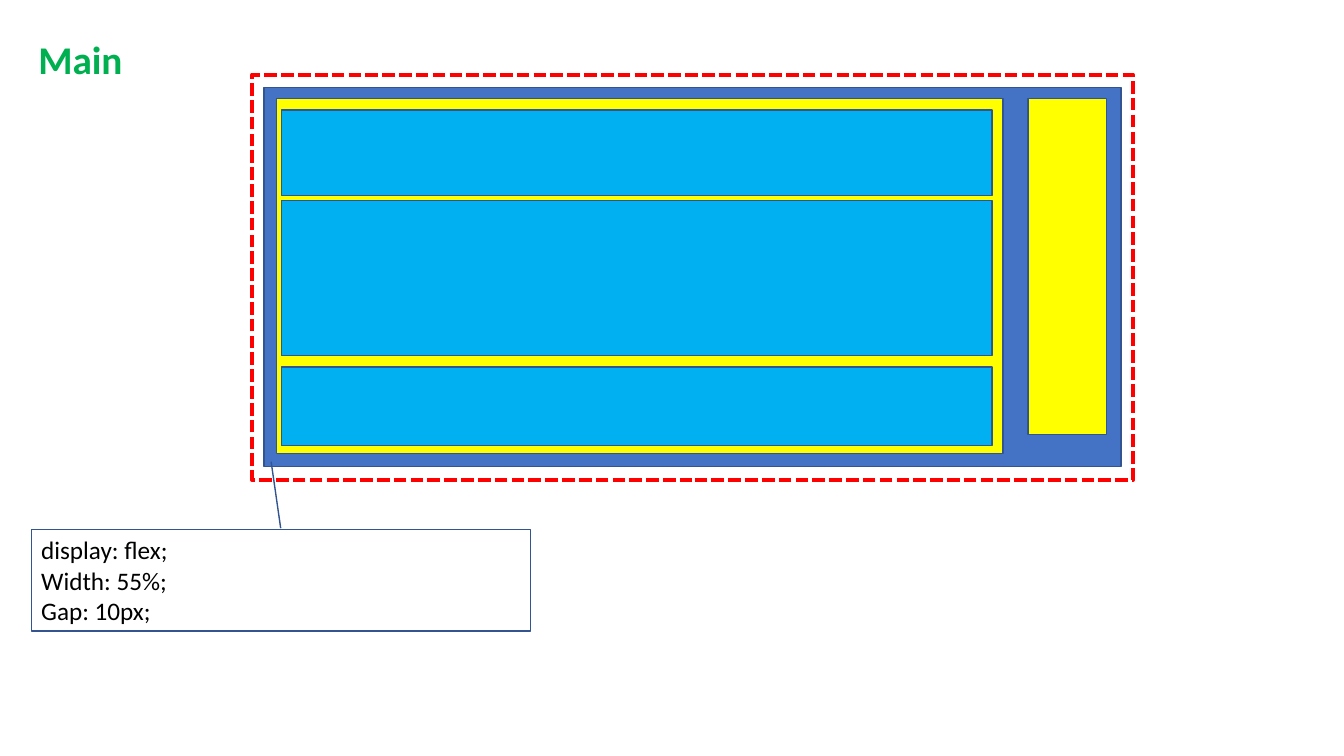
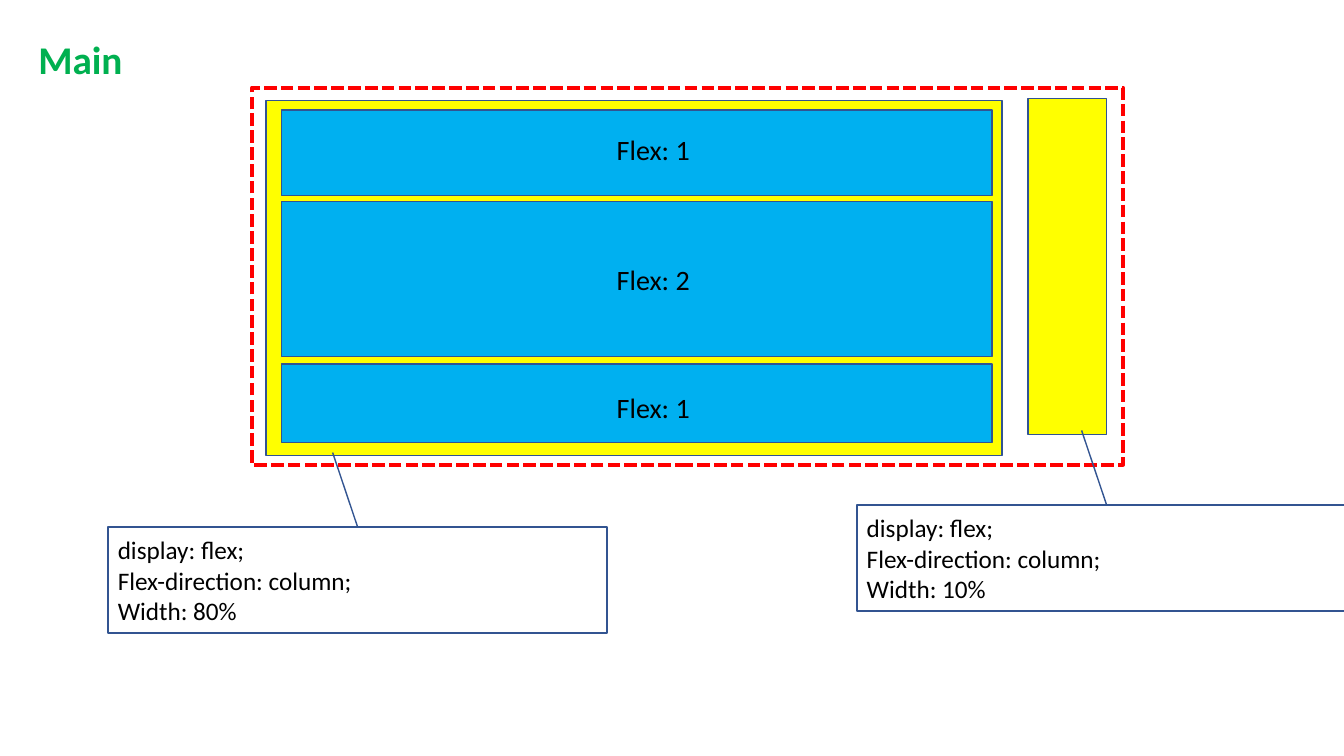
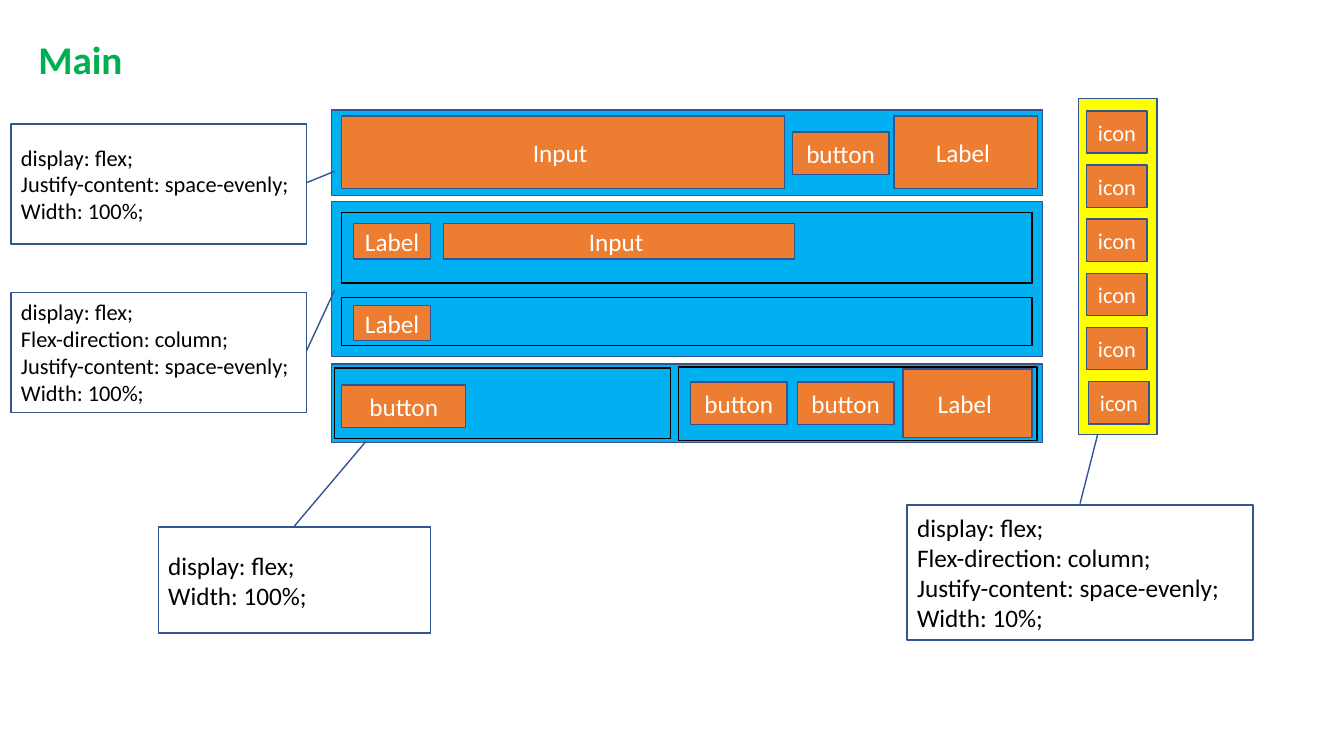
"""Build three slides that sketch the flexbox layout of a page's main area."""
import dataclasses

import pptx
import pptx.dml.color
import pptx.enum.dml
import pptx.enum.shapes
import pptx.enum.text
import pptx.util

SHAPES = pptx.enum.shapes.MSO_SHAPE
ALIGN = pptx.enum.text.PP_ALIGN
MIDDLE = pptx.enum.text.MSO_ANCHOR.MIDDLE
FIT_SHAPE = pptx.enum.text.MSO_AUTO_SIZE.SHAPE_TO_FIT_TEXT
DASHED = pptx.enum.dml.MSO_LINE.SQUARE_DOT


@dataclasses.dataclass(frozen=True)
class Theme:
    """Colours, type sizes and line widths of the deck."""
    font: str = "Calibri"
    heading: str = "00B050"
    ink: str = "000000"
    light: str = "FFFFFF"
    edge: str = "325491"
    viewport: str = "FF0000"
    main: str = "4472C4"
    column: str = "FFFF00"
    row: str = "00B0F0"
    control: str = "ED7D31"
    title_size: int = 28
    flex_size: int = 20
    text_size: int = 18
    small_size: int = 16
    thin: int = 1
    thick: int = 3


class Wireframe:
    """Draws wireframe parts on a grid with ten cells to the inch."""
    COLUMNS, ROWS = 133.33, 75
    ROW_HEIGHTS = (8.5, 15.4, 7.8)

    def __init__(self, theme):
        self.theme = theme
        self.deck = pptx.Presentation()
        self.deck.slide_width, self.deck.slide_height = self.cells(self.COLUMNS, self.ROWS)
        self.slide = None

    def cells(self, *counts):
        return [pptx.util.Inches(count / 10) for count in counts]

    def color(self, value):
        return pptx.dml.color.RGBColor.from_string(value)

    def set_text(self, frame, text, size, color, align=ALIGN.LEFT, bold=False):
        frame.text = text
        for paragraph in frame.paragraphs:
            paragraph.alignment = align
            for run in paragraph.runs:
                run.font.name = self.theme.font
                run.font.size = pptx.util.Pt(size)
                run.font.bold = bold
                run.font.color.rgb = self.color(color)

    def start(self, title):
        self.slide = self.deck.slides.add_slide(self.deck.slide_layouts[5])
        heading = self.slide.shapes.title
        heading.left, heading.top, heading.width, heading.height = self.cells(2.8, 3, 11.4, 5.7)
        frame = heading.text_frame
        self.set_text(frame, title, self.theme.title_size, self.theme.heading, bold=True)
        frame.word_wrap = False
        frame.auto_size = FIT_SHAPE

    def box(self, area, fill=None, edge=None, width=None, kind=SHAPES.RECTANGLE):
        shape = self.slide.shapes.add_shape(kind, *self.cells(*area))
        shape.shadow.inherit = False
        if fill:
            shape.fill.solid()
            shape.fill.fore_color.rgb = self.color(fill)
        else:
            shape.fill.background()
        shape.line.color.rgb = self.color(edge or self.theme.edge)
        shape.line.width = pptx.util.Pt(width or self.theme.thin)
        return shape

    def viewport(self, *area):
        frame = self.box(area, edge=self.theme.viewport, width=self.theme.thick)
        frame.line.dash_style = DASHED

    def column(self, *area):
        self.box(area, self.theme.column)

    def sidebar(self, left):
        self.column(left, 9.8, 7.8, 33.3)

    def rows(self, left, tops):
        for top, height in zip(tops, self.ROW_HEIGHTS):
            self.box((left, top, 70.5, height), self.theme.row)

    def group(self, *area):
        self.box(area, edge=self.theme.ink)

    def control(self, text, *area, size=None):
        frame = self.box(area, self.theme.control).text_frame
        frame.vertical_anchor = MIDDLE
        self.set_text(frame, text, size or self.theme.text_size, self.theme.light, ALIGN.CENTER)

    def label(self, text, left, top):
        frame = self.slide.shapes.add_textbox(*self.cells(left, top, 9.3, 4.4)).text_frame
        self.set_text(frame, text, self.theme.flex_size, self.theme.ink)
        frame.word_wrap = False
        frame.auto_size = FIT_SHAPE

    def callout(self, rules, area, tip, from_side=False, size=None):
        note = self.box(area, kind=SHAPES.LINE_CALLOUT_1)
        left, top, width, height = area
        start = (0.49, 1) if from_side else (-0.01, 0.5)
        end = ((tip[1] - top) / height, (tip[0] - left) / width)
        for index, share in enumerate(start + end):
            note.adjustments[index] = share
        note.text_frame.vertical_anchor = MIDDLE
        self.set_text(note.text_frame, "\n".join(rules), size or self.theme.text_size,
                      self.theme.ink)


def draw_container(page):
    """Show the main container and its two columns."""
    page.start("Main")
    page.box((26.2, 8.7, 85, 37.6), page.theme.main)
    page.viewport(25, 7.4, 87.4, 40.2)
    page.column(27.4, 9.8, 72.1, 35.2)
    page.sidebar(102)
    page.callout(["display: flex;", "Width: 55%;", "Gap: 10px;"],
                 (3.1, 52.5, 49.5, 10.1), (26.9, 45.8))
    page.rows(27.9, (10.9, 19.9, 36.4))


def draw_columns(page):
    """Show how the two columns share the width and the rows the height."""
    page.start("Main")
    page.viewport(25, 8.7, 86.4, 37.4)
    page.column(26.4, 10, 73, 35.2)
    page.sidebar(102)
    page.rows(27.9, (10.9, 20, 36.1))
    for text, top in (("Flex: 1", 12.7), ("Flex: 2", 25.6), ("Flex: 1", 38.2)):
        page.label(text, 60.2, top)
    for share, left, top in (("80%", 10.7, 52.3), ("10%", 85, 50.1)):
        page.callout(["display: flex;", "Flex-direction: column;", f"Width: {share}"],
                     (left, top, 49.5, 10.5), (left + 22.3, top - 7.4))


def draw_controls(page):
    """Show the controls inside each row and the sidebar."""
    page.start("Main")
    page.sidebar(107)
    page.rows(32.9, (10.9, 20, 36.1))

    for text, *area in (
        ("Input ", 33.9, 11.5, 43.9, 7.2),
        ("button", 78.6, 13.1, 9.6, 4.2),
        ("Label ", 88.7, 11.5, 14.2, 7.2),
        ("Label ", 35.1, 22.2, 7.6, 3.5),
        ("Input ", 44, 22.2, 34.8, 3.5),
        ("Label ", 35.1, 30.3, 7.6, 3.5),
        ("button", 33.9, 38.2, 12.3, 4.2),
        ("button", 68.5, 37.9, 9.6, 4.2),
        ("button", 79.1, 37.9, 9.6, 4.2),
        ("Label ", 89.6, 36.6, 12.8, 6.8),
    ):
        page.control(text, *area)

    page.group(33.9, 21.1, 68.5, 7)
    page.group(33.9, 29.5, 68.5, 4.8)
    page.group(33.2, 36.5, 33.3, 7)
    page.group(67.3, 36.4, 35.6, 7.3)

    small = page.theme.small_size
    for index, left in enumerate([107.8] * 5 + [108]):
        page.control("icon", left, 11 + index * 5.37, 6, 4.2, size=small)

    flex, column = "display: flex;", "Flex-direction: column;"
    evenly, full = "Justify-content: space-evenly;", "Width: 100%;"
    page.callout([flex, evenly, full], (1.1, 12.3, 29.3, 11.9), (33.2, 17),
                 from_side=True, size=small)
    page.callout([flex, column, evenly, full], (1.1, 29, 29.3, 11.9), (33.2, 28.8),
                 from_side=True, size=small)
    page.callout([flex, full], (15.7, 52.3, 27, 10.5), (36.3, 43.8))
    page.callout([flex, column, evenly, "Width: 10%;"],
                 (90, 50.1, 34.3, 13.4), (108.9, 43.1))


def main():
    """Draw the slides and save the deck."""
    page = Wireframe(Theme())
    draw_container(page)
    draw_columns(page)
    draw_controls(page)
    page.deck.save("out.pptx")


if __name__ == "__main__":
    main()
